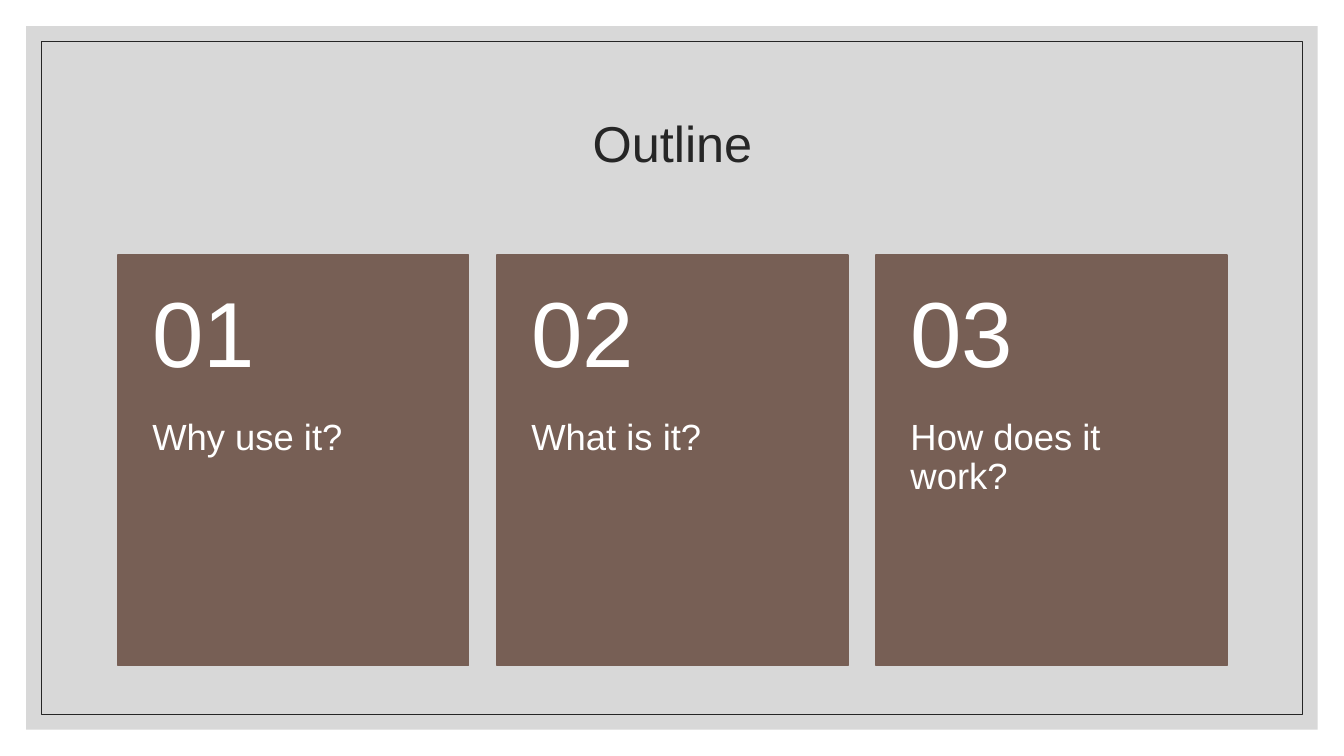
from dataclasses import dataclass

from lxml import etree
from pptx import Presentation
from pptx.dml.color import RGBColor
from pptx.enum.shapes import MSO_SHAPE
from pptx.enum.text import MSO_ANCHOR, PP_ALIGN
from pptx.oxml.ns import qn
from pptx.shapes.autoshape import Shape
from pptx.slide import Slide
from pptx.util import Inches, Pt

RECT = MSO_SHAPE.RECTANGLE
TOP, MIDDLE = MSO_ANCHOR.TOP, MSO_ANCHOR.MIDDLE
LEFT, CENTER = PP_ALIGN.LEFT, PP_ALIGN.CENTER


@dataclass(frozen=True)
class Theme:
    font: str = "Arial"
    panel: str = "BFBFBF"
    ink: str = "262626"
    card: str = "775F55"
    light: str = "FFFFFF"
    title: int = 36
    number: int = 66
    body: int = 26


@dataclass(frozen=True)
class Box:
    x: float
    y: float
    w: float
    h: float

    def inset(self, gap: float) -> "Box":
        return Box(self.x + gap, self.y + gap, self.w - 2 * gap, self.h - 2 * gap)

    def place(self) -> tuple:
        return tuple(Inches(v) for v in (self.x, self.y, self.w, self.h))


@dataclass(frozen=True)
class Card:
    number: str
    label: str


THEME = Theme()
PAGE = Box(0, 0, 13.33, 7.5)
HEAD = Box(1.17, 0.7, 11, 1.5)
GRID = Box(1.17, 2.53, 11, 4.07)
GAP = 0.28
SPLIT = 0.4  # share of a card's height taken by its number
CARDS = [
    Card("01", "Why use it?"),
    Card("02", "What is it?"),
    Card("03", "How does it work?"),
]


def add_rect(slide: Slide, box: Box, fill: str = "", line: str = "",
             width: float = 1) -> Shape:
    rect = slide.shapes.add_shape(RECT, *box.place())
    rect.shadow.inherit = False
    if fill:
        rect.fill.solid()
        rect.fill.fore_color.rgb = RGBColor.from_string(fill)
    else:
        rect.fill.background()
    if line:
        rect.line.color.rgb = RGBColor.from_string(line)
        rect.line.width = Pt(width)
    else:
        rect.line.fill.background()
    return rect


def set_text(shape: Shape, text: str, size: int, color: str,
             anchor: MSO_ANCHOR, align: PP_ALIGN = LEFT) -> None:
    frame = shape.text_frame
    frame.text = text
    frame.word_wrap = True
    frame.vertical_anchor = anchor
    para = frame.paragraphs[0]
    para.alignment = align
    para.line_spacing = 0.9
    font = para.runs[0].font
    font.name, font.size = THEME.font, Pt(size)
    font.color.rgb = RGBColor.from_string(color)


def add_label(slide: Slide, box: Box, text: str, size: int,
              anchor: MSO_ANCHOR, top: float, bottom: float) -> None:
    label = slide.shapes.add_textbox(*box.place())
    set_text(label, text, size, THEME.light, anchor)
    frame = label.text_frame
    frame.margin_left = frame.margin_right = Inches(0.34)
    frame.margin_top, frame.margin_bottom = Inches(top), Inches(bottom)


def add_card(slide: Slide, box: Box, card: Card) -> None:
    add_rect(slide, box, THEME.card, THEME.card)
    head = box.h * SPLIT
    add_label(slide, Box(box.x, box.y + head, box.w, box.h - head),
              card.label, THEME.body, TOP, 0, 0.36)
    add_label(slide, Box(box.x, box.y, box.w, head),
              card.number, THEME.number, MIDDLE, 0.18, 0.18)


def main() -> None:
    deck = Presentation()
    deck.slide_width, deck.slide_height = Inches(PAGE.w), Inches(PAGE.h)
    slide = deck.slides.add_slide(deck.slide_layouts[5])

    # Translucent panel and thin frame
    panel = add_rect(slide, PAGE.inset(0.26), THEME.panel)
    tint = panel.element.spPr.find(f".//{qn('a:srgbClr')}")
    etree.SubElement(tint, qn("a:alpha"), val="60000")
    add_rect(slide, PAGE.inset(0.41), line=THEME.ink, width=0.5)

    # Title, raised above the panel
    title = slide.shapes.title
    title.left, title.top, title.width, title.height = HEAD.place()
    set_text(title, "Outline", THEME.title, THEME.ink, MIDDLE, CENTER)
    title.element.getparent().append(title.element)

    # Row of numbered cards
    width = (GRID.w - GAP * (len(CARDS) - 1)) / len(CARDS)
    for i, card in enumerate(CARDS):
        x = GRID.x + i * (width + GAP)
        add_card(slide, Box(x, GRID.y, width, GRID.h), card)

    deck.save("out.pptx")


if __name__ == "__main__":
    main()
